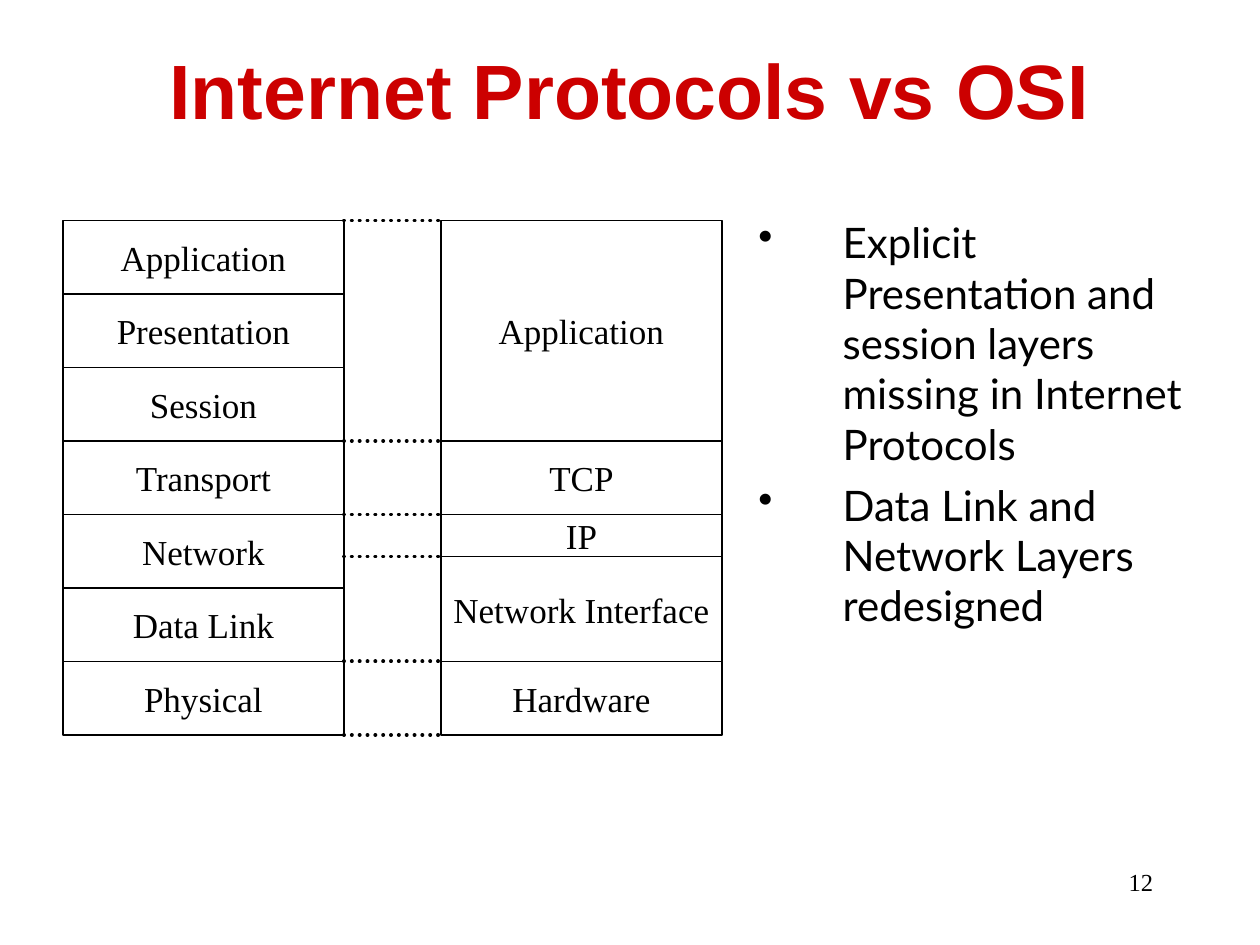
import pptx
import pptx.dml.color
import pptx.enum.dml
import pptx.enum.shapes
import pptx.enum.text
import pptx.oxml
import pptx.oxml.ns
import pptx.util

Inches = pptx.util.Inches
Pt = pptx.util.Pt
RGBColor = pptx.dml.color.RGBColor
Align = pptx.enum.text.PP_ALIGN
Anchor = pptx.enum.text.MSO_ANCHOR

BLACK = RGBColor(0x00, 0x00, 0x00)
WHITE = RGBColor(0xFF, 0xFF, 0xFF)
RED = RGBColor(0xCC, 0x00, 0x00)

SERIF = "Times New Roman"
STACK_TOP = 1.75
UNIT = 1.75 / 3
OSI_LEFT = 0.5
INTERNET_LEFT = 3.5
LAYER_WIDTH = 2.23

OSI_LAYERS = [
    (name, UNIT)
    for name in ("Application", "Presentation", "Session", "Transport",
                 "Network", "Data Link", "Physical")
]
INTERNET_LAYERS = [
    ("Application", 3 * UNIT),
    ("TCP", UNIT),
    ("IP", UNIT * 4 / 7),
    ("Network Interface", UNIT * 10 / 7),
    ("Hardware", UNIT),
]
POINTS = [
    "Explicit Presentation and session layers missing in Internet Protocols",
    "Data Link and Network Layers redesigned",
]


class SlideWriter:
    def __init__(self, page):
        self.page = page

    def add_span(self, para, text, size, font, color=BLACK, bold=False):
        span = para.add_run()
        span.text = text
        span.font.size = Pt(size)
        span.font.name = font
        span.font.color.rgb = color
        span.font.bold = bold

    def text_box(self, left, top, width, height):
        box = self.page.shapes.add_textbox(
            Inches(left), Inches(top), Inches(width), Inches(height))
        box.text_frame.word_wrap = True
        return box.text_frame

    def label(self, text, place, size, font, align, color=BLACK, bold=False,
              anchor=Anchor.TOP):
        frame = self.text_box(*place)
        frame.vertical_anchor = anchor
        para = frame.paragraphs[0]
        para.alignment = align
        self.add_span(para, text, size, font, color, bold)

    def bullets(self, texts, place):
        frame = self.text_box(*place)
        for index, text in enumerate(texts):
            para = frame.add_paragraph() if index else frame.paragraphs[0]
            para.space_before = Pt(6)
            properties = para._p.get_or_add_pPr()
            properties.set("marL", str(Inches(0.67)))
            properties.set("indent", str(Inches(-0.67)))
            bullet = pptx.oxml.parse_xml(
                f'<a:buChar {pptx.oxml.ns.nsdecls("a")} char="•"/>')
            properties.append(bullet)
            self.add_span(para, text, 24, "Lato")

    def layer(self, name, left, top, height):
        box = self.page.shapes.add_shape(
            pptx.enum.shapes.MSO_SHAPE.RECTANGLE,
            Inches(left), Inches(top), Inches(LAYER_WIDTH), Inches(height))
        box.shadow.inherit = False
        box.fill.solid()
        box.fill.fore_color.rgb = WHITE
        box.line.color.rgb = BLACK
        box.line.width = Pt(1)
        frame = box.text_frame
        frame.word_wrap = False
        frame.vertical_anchor = Anchor.MIDDLE
        para = frame.paragraphs[0]
        para.alignment = Align.CENTER
        self.add_span(para, name, 20, SERIF)

    def stack(self, layers, left):
        edges = [STACK_TOP]
        for name, height in layers:
            self.layer(name, left, edges[-1], height)
            edges.append(edges[-1] + height)
        return edges

    def dotted_line(self, left, right, height):
        link = self.page.shapes.add_connector(
            pptx.enum.shapes.MSO_CONNECTOR.STRAIGHT,
            Inches(left), Inches(height), Inches(right), Inches(height))
        link.line.color.rgb = BLACK
        link.line.width = Pt(2.25)
        link.line.dash_style = pptx.enum.dml.MSO_LINE.ROUND_DOT
        link.line._ln.set("cap", "rnd")
        link._element.spPr.append(pptx.oxml.parse_xml(
            f'<a:effectLst {pptx.oxml.ns.nsdecls("a")}/>'))


def main():
    deck = pptx.Presentation()
    deck.slide_width = Inches(10)
    deck.slide_height = Inches(7.5)
    writer = SlideWriter(deck.slides.add_slide(deck.slide_layouts[6]))

    writer.bullets(POINTS, (5.92, 1.67, 3.83, 5.42))
    writer.label("Internet Protocols vs OSI", (0.75, 0.08, 8.5, 1.25), 44,
                 "Arial", Align.CENTER, RED, True, Anchor.MIDDLE)
    writer.stack(OSI_LAYERS, OSI_LEFT)
    for edge in writer.stack(INTERNET_LAYERS, INTERNET_LEFT):
        writer.dotted_line(OSI_LEFT + LAYER_WIDTH, INTERNET_LEFT, edge)
    writer.label("12", (7.17, 6.83, 2.08, 0.5), 14, SERIF, Align.RIGHT)

    deck.save("out.pptx")


if __name__ == "__main__":
    main()
